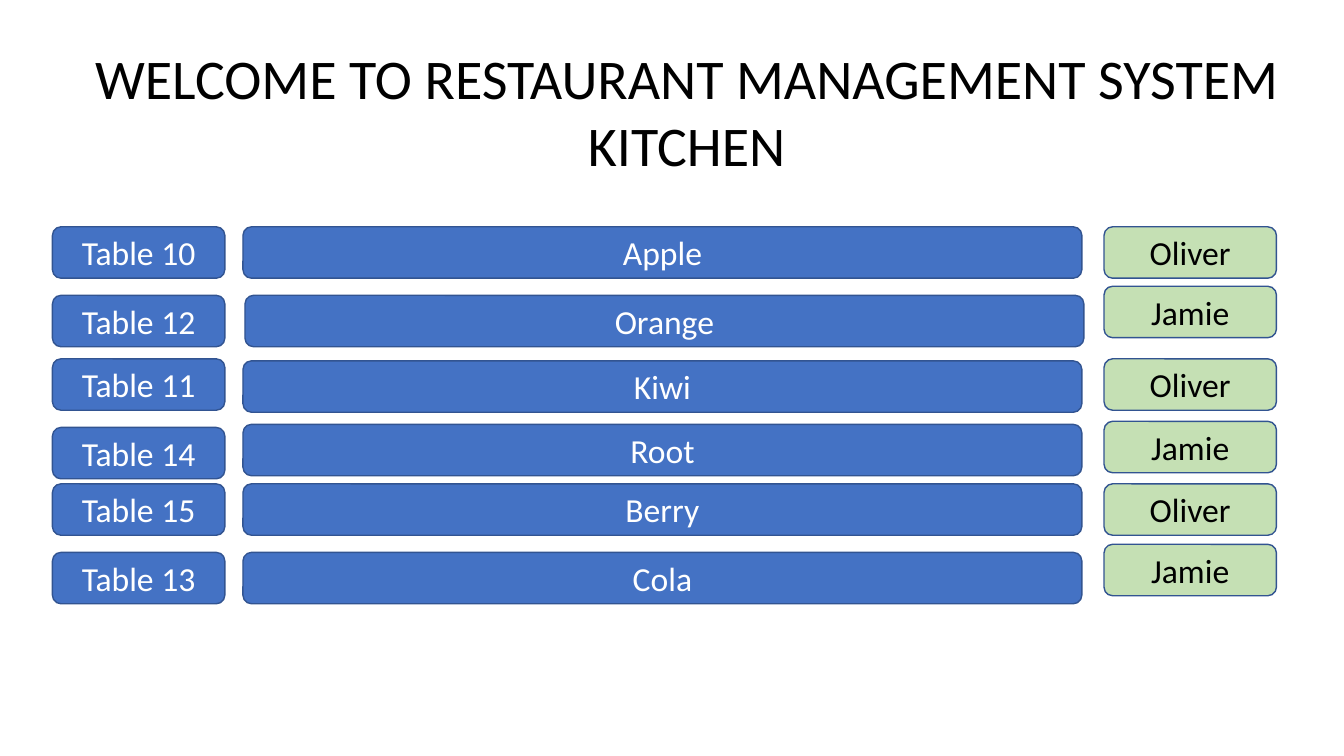
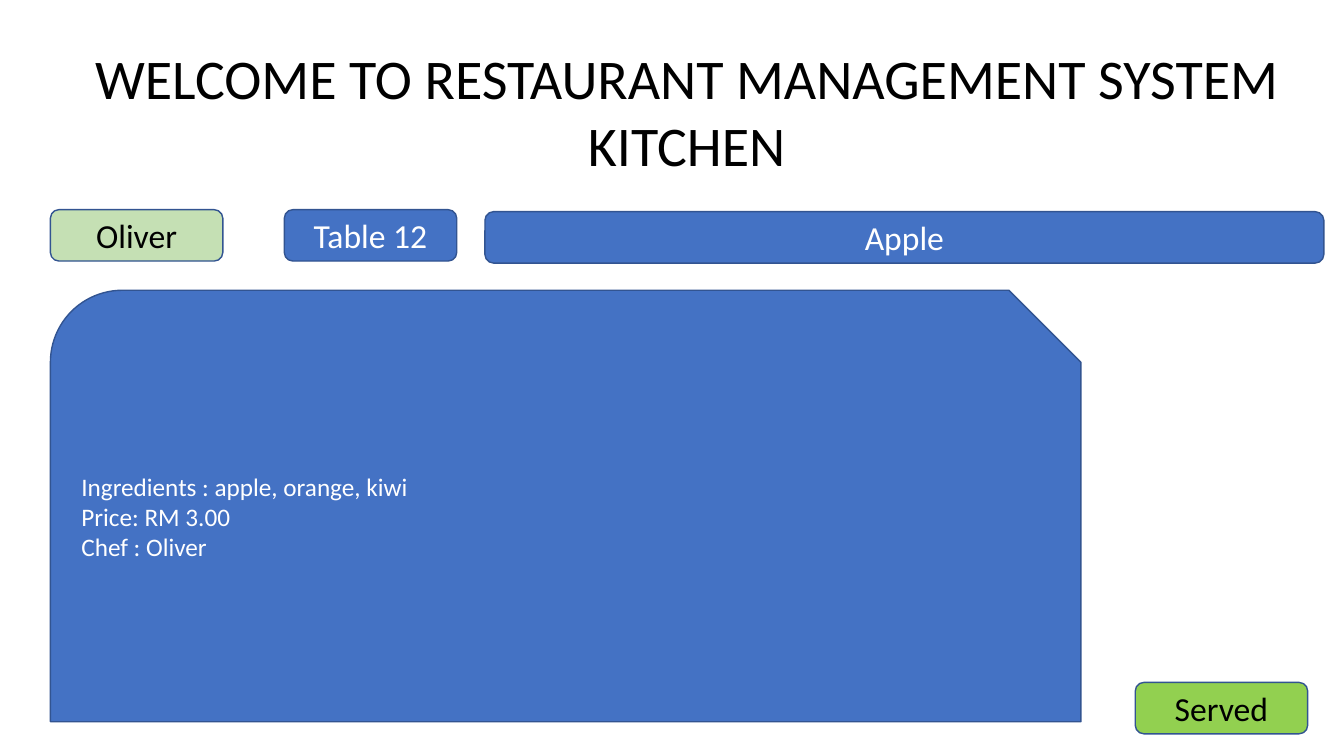
from pptx import Presentation
from pptx.dml.color import RGBColor
from pptx.enum import shapes, text
from pptx.util import Inches, Pt

TITLE = ["WELCOME TO RESTAURANT MANAGEMENT SYSTEM", "KITCHEN"]
# table, dish, chef, then the top of each of the three
ORDERS = [
    ("Table 10", "Apple", "Oliver", 2.25, 2.25, 2.25),
    ("Table 12", "Orange", "Jamie", 2.93, 2.93, 2.84),
    ("Table 11", "Kiwi", "Oliver", 3.56, 3.58, 3.56),
    ("Table 14", "Root", "Jamie", 4.24, 4.21, 4.18),
    ("Table 15", "Berry", "Oliver", 4.80, 4.80, 4.80),
    ("Table 13", "Cola", "Jamie", 5.48, 5.48, 5.40),
]
DETAILS = ["Ingredients : apple, orange, kiwi", "Price: RM 3.00", "Chef : Oliver"]

FONT = "Calibri"
BLUE, EDGE, PALE, GREEN = "4472C4", "325491", "C5E0B4", "92D050"
WHITE, BLACK = "FFFFFF", "000000"
SMALL, WIDE, HIGH = 1.71, 8.32, 0.51
TABLE_X, DISH_X, CHEF_X = 0.52, 2.41, 10.95
ROUND = shapes.MSO_SHAPE.ROUNDED_RECTANGLE
SNIP = shapes.MSO_SHAPE.SNIP_ROUND_RECTANGLE


def color(code):
    """Turn a hex string into a colour."""
    return RGBColor.from_string(code)


def write(frame, lines, size=24, ink=WHITE, align=text.PP_ALIGN.CENTER):
    """Write one paragraph per line into a text frame."""
    frame.word_wrap = True
    for i, line in enumerate(lines):
        para = frame.paragraphs[0] if i == 0 else frame.add_paragraph()
        para.alignment = align
        run = para.add_run()
        run.text = line
        run.font.name, run.font.size = FONT, Pt(size)
        run.font.color.rgb = color(ink)


def box(slide, lines, x, y, w=SMALL, h=HIGH, fill=BLUE, kind=ROUND, **style):
    """Draw an outlined shape with text in its middle."""
    item = slide.shapes.add_shape(kind, *map(Inches, (x, y, w, h)))
    item.shadow.inherit = False
    item.fill.solid()
    item.fill.fore_color.rgb = color(fill)
    item.line.color.rgb = color(EDGE)
    item.line.width = Pt(1)
    item.text_frame.vertical_anchor = text.MSO_ANCHOR.MIDDLE
    write(item.text_frame, lines, **style)


def page(deck):
    """Add a blank slide with the shared title."""
    slide = deck.slides.add_slide(deck.slide_layouts[6])
    head = slide.shapes.add_textbox(*map(Inches, (0.64, 0.38, 12.34, 1.45)))
    write(head.text_frame, TITLE, size=40, ink=BLACK)
    return slide


def queue(deck):
    """Build the list of open orders."""
    slide = page(deck)
    for table, dish, chef, table_y, dish_y, chef_y in ORDERS:
        nudge = 0.02 if dish == "Orange" else 0
        box(slide, [table], TABLE_X, table_y)
        box(slide, [dish], DISH_X + nudge, dish_y, w=WIDE)
        box(slide, [chef], CHEF_X, chef_y, fill=PALE, ink=BLACK)


def order(deck):
    """Build the details of one order."""
    slide = page(deck)
    left, top = 0.5, 2.08
    box(slide, ["Oliver"], left, top, fill=PALE, ink=BLACK)
    box(slide, ["Table 12"], 2.82, top)
    box(slide, ["Served"], 11.26, 6.77, fill=GREEN, ink=BLACK)
    box(slide, ["Apple"], 4.81, top + 0.02, w=WIDE)
    box(slide, DETAILS, left, top + 0.8, w=10.22, h=4.28, kind=SNIP,
        size=18, align=text.PP_ALIGN.LEFT)


deck = Presentation()
deck.slide_width, deck.slide_height = Inches(13.33), Inches(7.5)
queue(deck)
order(deck)
deck.save("out.pptx")
